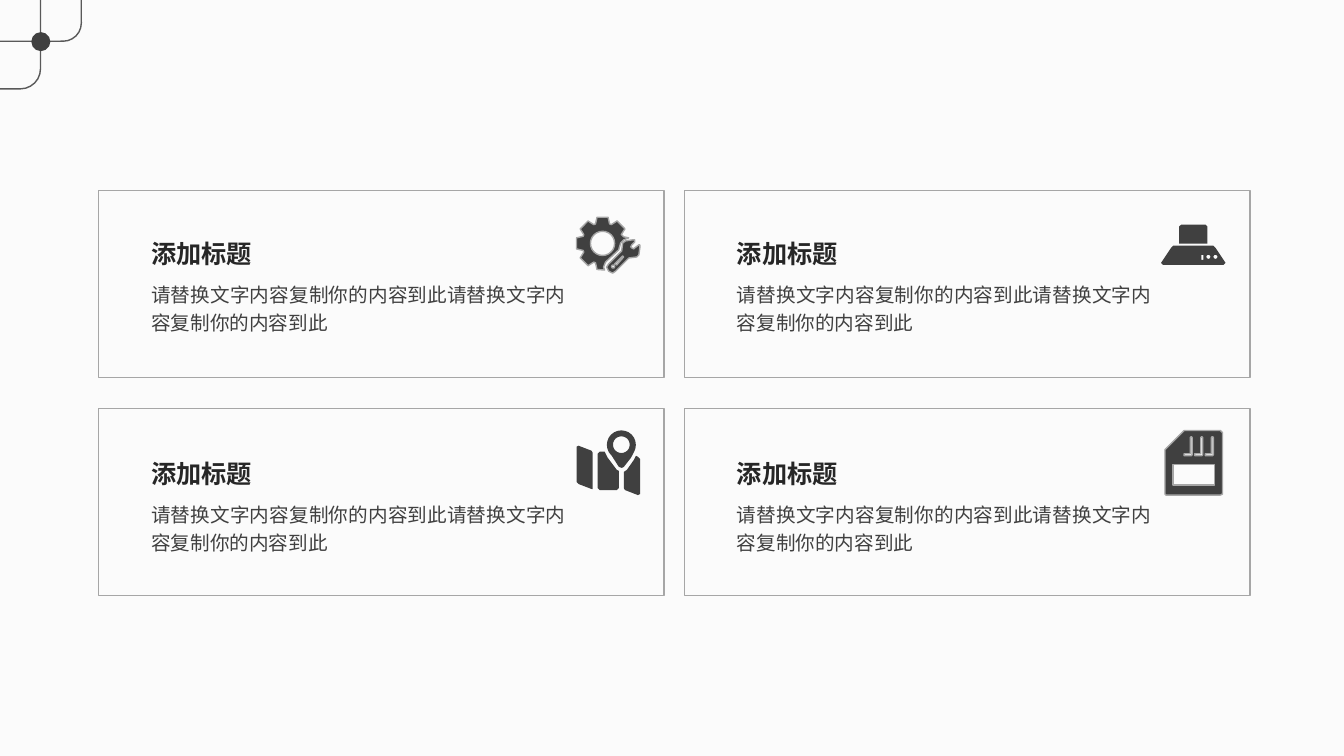
"""Build a slide of four outlined cards, each with a heading, a text and an icon."""
from math import cos, radians, sin

from lxml.etree import SubElement
from pptx import Presentation
from pptx.dml.color import RGBColor
from pptx.enum.shapes import MSO_SHAPE as Shape
from pptx.enum.text import MSO_AUTO_SIZE as AutoSize, PP_ALIGN as Align
from pptx.oxml.ns import qn
from pptx.util import Cm, Pt

FONT = "Noto Sans CJK SC"
PAPER = RGBColor(0xFB, 0xFB, 0xFB)
INK = RGBColor(0x26, 0x26, 0x26)
DARK = RGBColor(0x40, 0x40, 0x40)
CORNER_LINE = RGBColor(0x59, 0x59, 0x59)
CARD_LINE = RGBColor(0xA6, 0xA6, 0xA6)

HEADING = "添加标题"
BODY = "请替换文字内容复制你的内容到此请替换文字内容复制你的内容到此"

CORNER_FRAMES = [((-3.48, -1.14, 4.5, 3.38), 0.149), ((-1.63, -0.94, 3.68, 1.98), 0.231)]
CORNER_DOT = (0.79, 0.81, 0.48, 0.48)

CARD_LEFT, CARD_TOP, CARD_WIDTH, CARD_HEIGHT = 2.49, 4.8, 14.25, 4.72
COLUMN_STEP, ROW_STEP, TEXT_ROW_STEP = 14.76, 5.49, 5.54
TEXT_LEFT, HEADING_TOP, BODY_TOP = 3.56, 5.72, 6.88
ICON_UNIT = Cm(2.54) / 100
FINE = 10


def arc(x, y, radius, start=0, end=345, step=15):
    """Return points along a circle, angles in degrees clockwise from the right."""
    return [(x + radius * cos(radians(angle)), y + radius * sin(radians(angle)))
            for angle in range(start, end + 1, step)]


def rectangle(left, top, right, bottom):
    """Return the four corners of a rectangle."""
    return [(left, top), (right, top), (right, bottom), (left, bottom)]


def gear_rim():
    """Return the toothed rim, open at the lower right for the wrench."""
    teeth = []
    for middle in range(90, 316, 45):
        for radius, turn in ((20.5, -20), (26.5, -12), (26.5, 12), (20.5, 20)):
            teeth += arc(27, 26.5, radius, middle + turn, middle + turn)
    cut = [(48, 20), (53, 21), (48, 23), (45, 26), (43, 33), (30, 45), (28, 50), (29, 53)]
    return teeth[2:] + cut


def contact(shift):
    """Return one hooked contact of the memory card."""
    hook = [(19, 23), (19, 25), (26, 25), (27, 24), (27, 7), (26, 6), (25, 7), (25, 23)]
    return [(x + shift, y) for x, y in hook]


GEAR = [
    gear_rim(),
    arc(27, 26.5, 12),
    [(57, 23), (59, 23), (59, 25), (56, 28), (55, 30), (56, 31), (58, 32), (59, 31),
     (63, 28), (64, 28), (64, 31), (63, 38), (61, 40), (53, 41), (40, 54), (37, 56),
     (33, 54), (31, 50), (33, 47), (46, 34), (47, 26), (50, 24)],
    [(47, 39), (40, 46), (39, 47), (41, 48), (47, 41), (48, 40)],
    arc(37.5, 49.5, 1.5),
]
MAP = [
    [(2, 15), (15, 20), (16, 22), (16, 58), (15, 58), (2, 53), (0, 51), (0, 16)],
    [(23, 21), (28, 21), (31, 27), (40, 39), (42, 40), (42, 57), (40, 59), (23, 59),
     (21, 57), (21, 23)],
    [(59, 25), (61, 26), (63, 28), (63, 63), (61, 64), (48, 59), (47, 57), (47, 41),
     (50, 39), (57, 29)],
    arc(44.5, 14.2, 14.4, 150, 390) + [(54, 27), (47, 36), (45, 37), (42, 36), (35, 25)],
    arc(44.5, 14, 8.3),
]
HOOD = [
    [(12, 21), (52, 21), (54, 23), (64, 38), (62, 40), (2, 40), (0, 38), (10, 23)],
    [(20, 0), (44, 0), (46, 2), (46, 19), (18, 19), (18, 2)],
    arc(54, 32, 2),
    arc(47, 32, 2),
    rectangle(40, 30, 42, 35),
]
MEMORY_CARD = [
    [(19, 0), (55, 0), (57, 2), (57, 63), (55, 64), (1, 64), (0, 63), (0, 19), (18, 1)],
    contact(0), contact(10.5), contact(21),
    rectangle(8, 34, 49, 54),
]

CARDS = [
    (0, 0, GEAR, (14.5, 5.46), CARD_LINE),
    (0, 1, MAP, (14.53, 10.85), None),
    (1, 0, HOOD, (29.26, 5.66), None),
    (1, 1, MEMORY_CARD, (29.36, 10.85), CARD_LINE),
]


def paint(shape, fill=None, line=None):
    """Set the fill and outline of a shape."""
    shape.shadow.inherit = False
    if fill is None:
        shape.fill.background()
    else:
        shape.fill.solid()
        shape.fill.fore_color.rgb = fill
    if line is None:
        shape.line.fill.background()
    else:
        shape.line.color.rgb = line
        shape.line.width = Pt(1)


def add_preset(shapes, kind, frame, **colours):
    """Add a painted preset shape with its frame in centimetres."""
    shape = shapes.add_shape(kind, *map(Cm, frame))
    paint(shape, **colours)
    return shape


def add_icon(shapes, contours, place, line):
    """Add an icon as one freeform of several contours."""
    fine = [[(x * FINE, y * FINE) for x, y in contour] for contour in contours]
    builder = shapes.build_freeform(*fine[0][0], scale=ICON_UNIT / FINE)
    for number, contour in enumerate(fine):
        if number:
            builder.move_to(*contour[0])
        builder.add_line_segments(contour[1:], close=True)
    paint(builder.convert_to_shape(*map(Cm, place)), fill=DARK, line=line)


def add_text(shapes, text, frame, *, size, colour, bold=False):
    """Add a wrapped, justified text box."""
    box = shapes.add_textbox(*map(Cm, frame))
    box.text_frame.word_wrap = True
    box.text_frame.auto_size = AutoSize.SHAPE_TO_FIT_TEXT
    para = box.text_frame.paragraphs[0]
    para.alignment = Align.JUSTIFY
    para.line_spacing = 1.2
    span = para.add_run()
    span.text = text
    span.font.size = Pt(size)
    span.font.bold = bold
    span.font.color.rgb = colour
    span.font.name = FONT
    SubElement(span.font._element, qn("a:ea")).set("typeface", FONT)


def add_card(page, column, row, contours, place, line):
    """Add one grouped card at its place in the grid."""
    shapes = page.shapes.add_group_shape().shapes
    shift = column * COLUMN_STEP
    left, text_left = CARD_LEFT + shift, TEXT_LEFT + shift
    text_shift = row * TEXT_ROW_STEP
    add_preset(shapes, Shape.RECTANGLE,
               (left, CARD_TOP + row * ROW_STEP, CARD_WIDTH, CARD_HEIGHT), line=CARD_LINE)
    add_icon(shapes, contours, place, line)
    add_text(shapes, BODY, (text_left, BODY_TOP + text_shift, 10.95, 1.7),
             size=14, colour=DARK)
    add_text(shapes, HEADING, (text_left, HEADING_TOP + text_shift, 5.69, 1.14),
             size=18, colour=INK, bold=True)


def main():
    """Build and save the deck."""
    deck = Presentation()
    deck.slide_width, deck.slide_height = Cm(33.87), Cm(19.05)
    page = deck.slides.add_slide(deck.slide_layouts[6])
    page.background.fill.solid()
    page.background.fill.fore_color.rgb = PAPER
    for frame, rounding in CORNER_FRAMES:
        corner = add_preset(page.shapes, Shape.ROUNDED_RECTANGLE, frame, line=CORNER_LINE)
        corner.adjustments[0] = rounding
    add_preset(page.shapes, Shape.OVAL, CORNER_DOT, fill=DARK)
    for card in CARDS:
        add_card(page, *card)
    deck.save("out.pptx")


if __name__ == "__main__":
    main()
